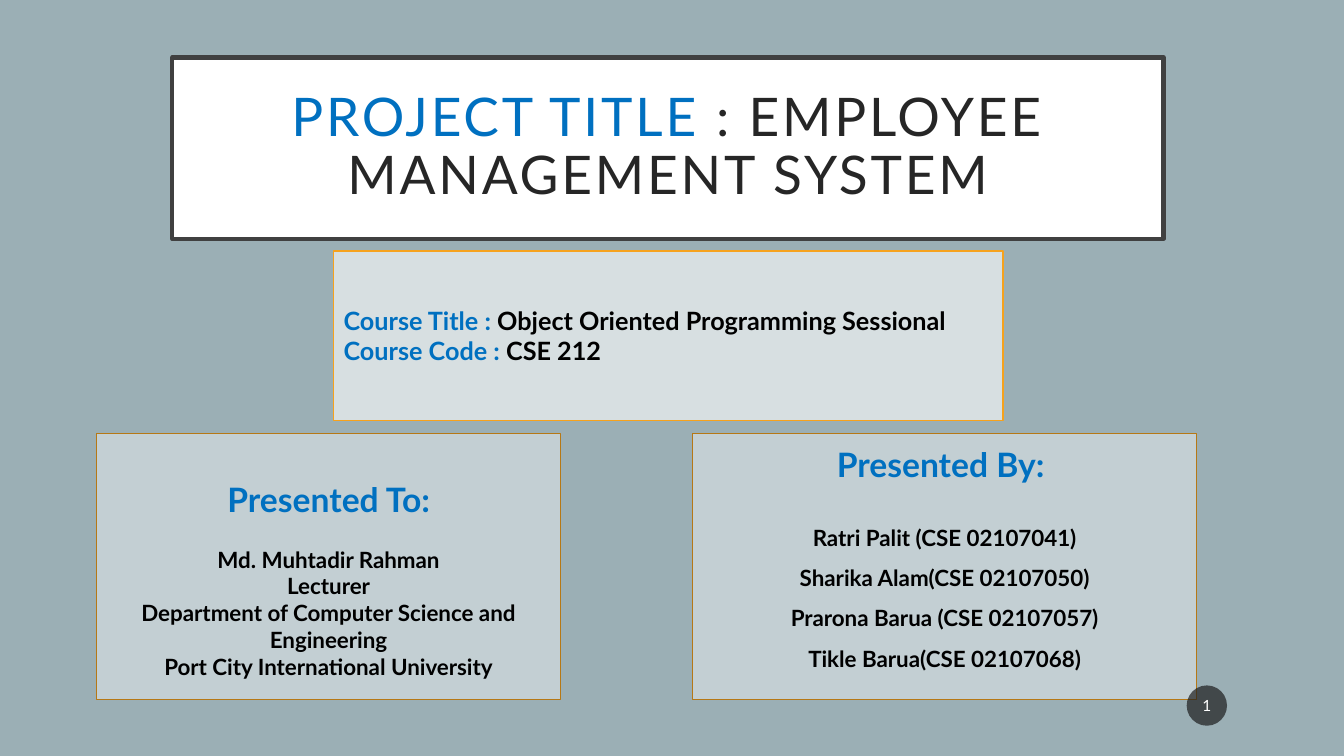
"""Build the title slide of the Employee Management System project."""
import lxml.etree
import pptx
import pptx.dml.color
import pptx.enum.shapes
import pptx.enum.text
import pptx.oxml.ns
import pptx.util

Inches = pptx.util.Inches
Pt = pptx.util.Pt
SHAPE = pptx.enum.shapes.MSO_SHAPE
ANCHOR = pptx.enum.text.MSO_ANCHOR
ALIGN = pptx.enum.text.PP_ALIGN

THEME = {
    "font": "Lato",
    "background": "9BAFB5", "title_fill": "FFFFFF", "title_line": "404040",
    "course_fill": "D7DFE1", "course_line": "F6A21D",
    "people_fill": "C3CFD3", "people_line": "B67815",
    "badge": "1D1D1D", "accent": "0070C0", "title_text": "262626",
    "text": "000000", "light": "FFFFFF",
    "title_size": 38, "heading_size": 24, "course_size": 18,
    "body_size": 16, "badge_size": 11,
}


def color(name):
    return pptx.dml.color.RGBColor.from_string(THEME[name])


def add_panel(kind, box, fill, line, line_width, insets, anchor, paragraphs):
    panel = slide.shapes.add_shape(kind, *map(Inches, box))
    panel.shadow.inherit = False
    panel.fill.solid()
    panel.fill.fore_color.rgb = color(fill)
    if line:
        panel.line.color.rgb = color(line)
        panel.line.width = Pt(line_width)
    else:
        panel.line.fill.background()
    frame = panel.text_frame
    left, top, right, bottom = map(Inches, insets)
    frame_format = {
        "word_wrap": True, "vertical_anchor": anchor, "margin_left": left,
        "margin_top": top, "margin_right": right, "margin_bottom": bottom,
    }
    for key, value in frame_format.items():
        setattr(frame, key, value)
    for index, (runs, size, bold, layout) in enumerate(paragraphs):
        paragraph = frame.paragraphs[0] if index == 0 else frame.add_paragraph()
        for key, value in layout.items():
            setattr(paragraph, key, value)
        for words, ink in runs:
            run = paragraph.add_run()
            run.text = words
            run.font.color.rgb = color(ink)
            run_format = {"name": THEME["font"], "size": Pt(THEME[size]), "bold": bold}
            for key, value in run_format.items():
                setattr(run.font, key, value)
    return panel


presentation = pptx.Presentation()
presentation.slide_width = Inches(13.33)
presentation.slide_height = Inches(7.5)
slide = presentation.slides.add_slide(presentation.slide_layouts[6])
slide.background.fill.solid()
slide.background.fill.fore_color.rgb = color("background")

centered = {"alignment": ALIGN.CENTER}
after_heading = {"space_before": Pt(19)}

title = add_panel(
    SHAPE.RECTANGLE, (1.71, 0.57, 9.83, 1.8), "title_fill", "title_line", 3,
    (0.3, 0.2, 0.3, 0.2), ANCHOR.MIDDLE,
    [([("PROJECT TITLE ", "accent"), (": EMPLOYEE MANAGEMENT SYSTEM", "title_text")],
      "title_size", False, centered | {"line_spacing": 0.9})])
for run in title.text_frame.paragraphs[0].runs:
    run.font._element.set("spc", "200")

course = [("Course Title : ", "Object Oriented Programming Sessional"),
          ("Course Code : ", "CSE 212")]
add_panel(
    SHAPE.RECTANGLE, (3.31, 2.49, 6.64, 1.68), "course_fill", "course_line", 1,
    (0.1, 0.05, 0.1, 0.05), ANCHOR.MIDDLE,
    [([(label, "accent"), (value, "text")], "course_size", True,
      {"alignment": ALIGN.LEFT}) for label, value in course])

people = [
    (0.96, 4.6, 0.45, "Presented To:", 1.0,
     ["Md. Muhtadir Rahman", "Lecturer",
      "Department of Computer Science and Engineering",
      "Port City International University"]),
    (6.87, 5, 0.1, "Presented By: ", 1.5,
     ["Ratri Palit (CSE 02107041)", "Sharika Alam(CSE 02107050)",
      "Prarona Barua (CSE 02107057)", "Tikle Barua(CSE 02107068)"]),
]
for left, width, top_inset, heading, spacing, details in people:
    paragraphs = [([(heading, "accent")], "heading_size", True, centered)]
    for index, detail in enumerate(details):
        layout = centered | {"line_spacing": spacing}
        if index == 0:
            layout |= after_heading
        paragraphs.append(([(detail, "text")], "body_size", True, layout))
    add_panel(
        SHAPE.RECTANGLE, (left, 4.3, width, 2.64), "people_fill", "people_line", 1,
        (0.1, top_inset, 0.1, 0.05), ANCHOR.TOP, paragraphs)

page_badge = add_panel(
    SHAPE.OVAL, (11.77, 6.8, 0.4, 0.4), "badge", None, 0,
    (0.02, 0.05, 0.02, 0.05), ANCHOR.MIDDLE,
    [([("1", "light")], "badge_size", False, centered)])
qn = pptx.oxml.ns.qn
badge_color = page_badge._element.spPr.find(qn("a:solidFill")).find(qn("a:srgbClr"))
lxml.etree.SubElement(badge_color, qn("a:alpha")).set("val", "70000")

presentation.save("out.pptx")
